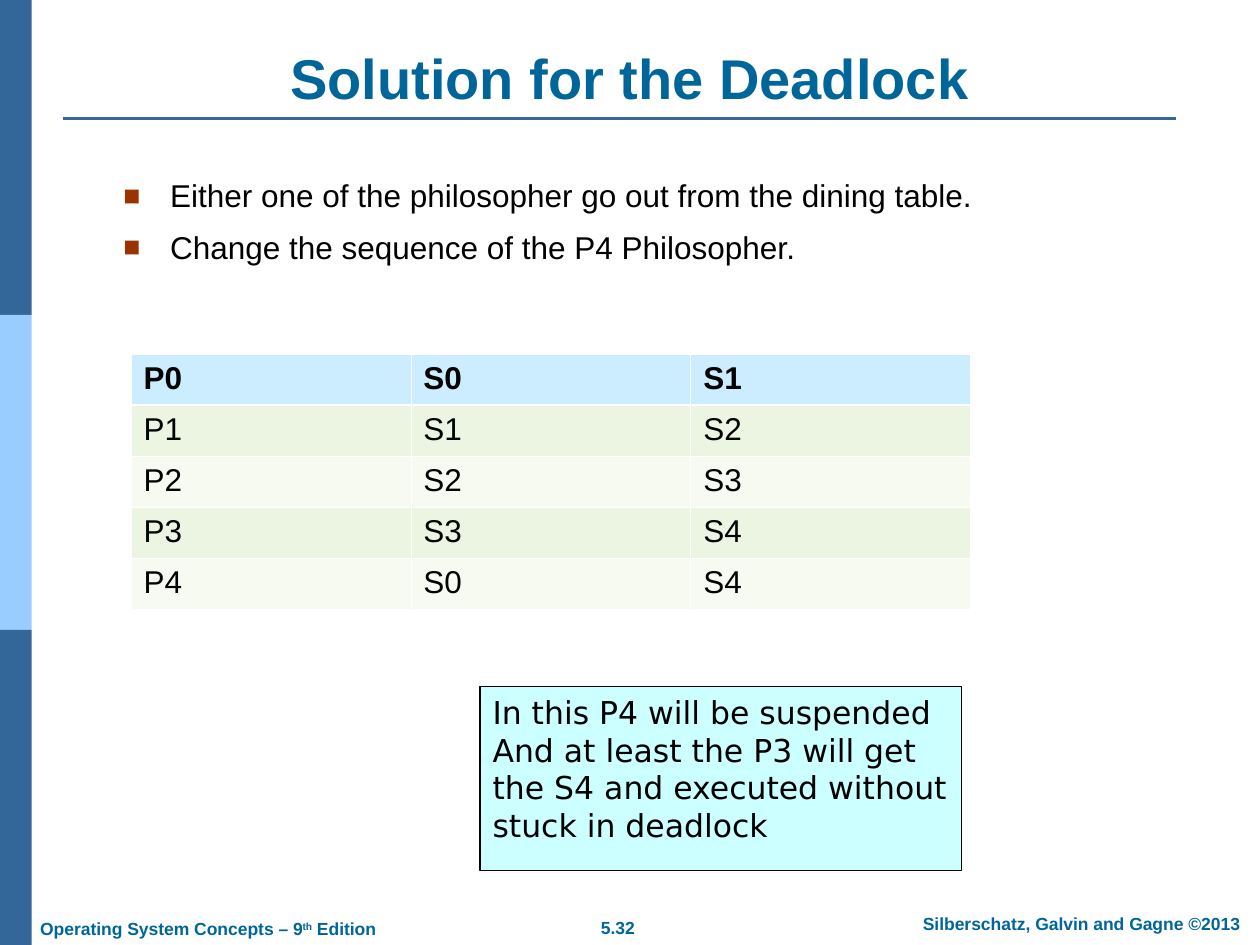
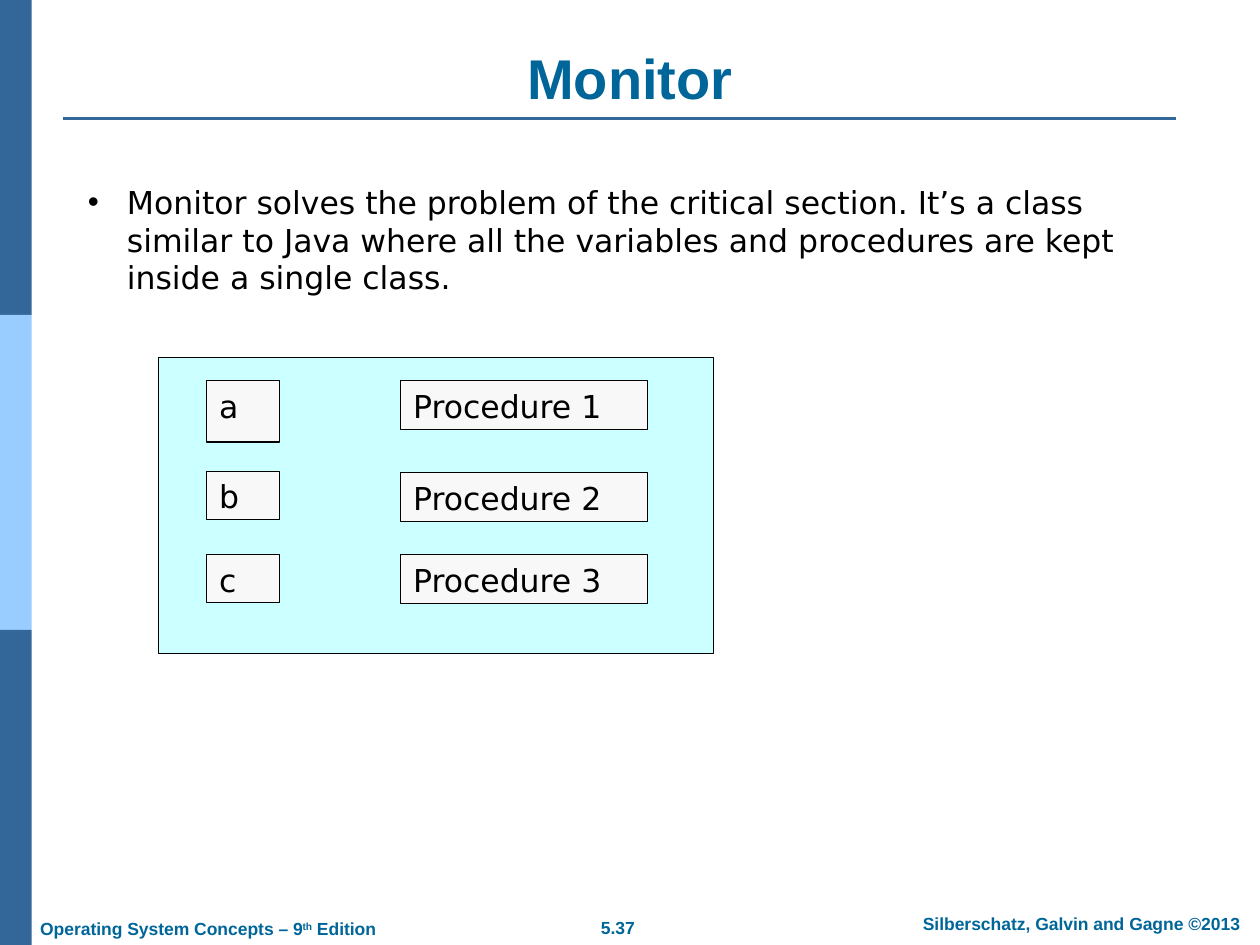
from dataclasses import dataclass
from typing import Optional, Sequence

from lxml.etree import SubElement
from pptx import Presentation
from pptx.dml.color import RGBColor
from pptx.enum.shapes import MSO_CONNECTOR as Connector, MSO_SHAPE as Preset
from pptx.enum.text import MSO_ANCHOR as Anchor, MSO_AUTO_SIZE as AutoSize, PP_ALIGN as Align
from pptx.oxml import parse_xml
from pptx.oxml.ns import nsdecls, qn
from pptx.util import Cm, Pt

DARK_BLUE, LIGHT_BLUE, TITLE_BLUE = "336699", "99CCFF", "006699"
BLACK, WHITE, CYAN, PALE_GRAY, RUST = "000000", "FFFFFF", "CCFFFF", "F8F8F8", "993300"
HEADER_FILL, ROW_FILLS = "CCECFF", ("ECF4E2", "F6FAF1")
SANS, WIDE_SANS = "Arial", "DejaVu Sans"


@dataclass(frozen=True)
class Area:
    left: float
    top: float
    width: float
    height: float

    def lengths(self) -> tuple:
        return Cm(self.left), Cm(self.top), Cm(self.width), Cm(self.height)


@dataclass(frozen=True)
class TextStyle:
    font: str
    size: float = 18
    color: str = BLACK
    bold: bool = False
    align: Align = Align.LEFT
    space_before: float = 0


@dataclass(frozen=True)
class Bullet:
    symbol: str
    color: str
    indent: float
    percent: int = 100


@dataclass(frozen=True)
class Block:
    area: Area
    fill: str
    line: Optional[str] = None
    lines: Sequence[str] = ()


TITLE = TextStyle(SANS, 32, TITLE_BLUE, True, Align.CENTER)
FOOTER = TextStyle(SANS, 10, TITLE_BLUE, True, space_before=6.2)
FOOTER_CENTERED = TextStyle(SANS, 10, TITLE_BLUE, True, Align.CENTER, 6.2)
BULLETED = TextStyle(SANS, space_before=7.9)
CELL, HEADER_CELL = TextStyle(SANS), TextStyle(SANS, bold=True)
PLAIN = TextStyle(WIDE_SANS)
SQUARE = Bullet("■", RUST, 0.94, 90)
DOT = Bullet("•", BLACK, 0.79)

BANDS = [
    Block(Area(0, 6.35 * index, 0.64, 6.35), fill)
    for index, fill in enumerate((DARK_BLUE, LIGHT_BLUE, DARK_BLUE))
]


def rgb(color: str) -> RGBColor:
    return RGBColor.from_string(color)


def style_paragraph(para, style: TextStyle) -> None:
    para.alignment = style.align
    para.space_before = Pt(style.space_before)
    font = para.font
    font.name, font.size, font.bold = style.font, Pt(style.size), style.bold
    font.color.rgb = rgb(style.color)


def add_bullet(para, bullet: Bullet) -> None:
    properties = para._p.get_or_add_pPr()
    properties.set("marL", str(Cm(bullet.indent)))
    properties.set("indent", str(-Cm(bullet.indent)))
    color = SubElement(properties, qn("a:buClr"))
    SubElement(color, qn("a:srgbClr"), val=bullet.color)
    SubElement(properties, qn("a:buSzPct"), val=str(bullet.percent * 1000))
    SubElement(properties, qn("a:buFont"), typeface=SANS)
    SubElement(properties, qn("a:buChar"), char=bullet.symbol)


def write_lines(frame, lines: Sequence[str], style: TextStyle,
                bullet: Optional[Bullet] = None) -> None:
    for index, line in enumerate(lines):
        para = frame.add_paragraph() if index else frame.paragraphs[0]
        para.text = line
        if bullet:
            add_bullet(para, bullet)
        style_paragraph(para, style)


def add_text(page, area: Area, lines: Sequence[str], style: TextStyle,
             bullet: Optional[Bullet] = None, wrap: bool = True):
    box = page.shapes.add_textbox(*area.lengths())
    box.text_frame.word_wrap = wrap
    write_lines(box.text_frame, lines, style, bullet)
    return box


def add_block(page, block: Block) -> None:
    box = page.shapes.add_shape(Preset.RECTANGLE, *block.area.lengths())
    box.shadow.inherit = False
    box.fill.solid()
    box.fill.fore_color.rgb = rgb(block.fill)
    if block.line:
        box.line.color.rgb = rgb(block.line)
        box.line.width = Pt(0.75)
    else:
        box.line.fill.background()
    if block.lines:
        box.text_frame.word_wrap = False
        box.text_frame.vertical_anchor = Anchor.TOP
        write_lines(box.text_frame, block.lines, PLAIN)


def add_title_rule(page) -> None:
    rule = page.shapes.add_connector(Connector.STRAIGHT, Cm(1.27), Cm(2.39), Cm(23.7), Cm(2.39))
    rule.line.color.rgb = rgb(DARK_BLUE)
    rule.line.width = Pt(1.5)
    SubElement(rule._element.spPr, qn("a:effectLst"))


def add_footers(page, number: str) -> None:
    add_text(page, Area(11.2, 18.36, 2.51, 0.69), [number], FOOTER_CENTERED, wrap=False)
    add_text(page, Area(18.03, 18.29, 7.54, 0.69),
             ["Silberschatz, Galvin and Gagne ©2013"], FOOTER_CENTERED)
    edition = add_text(page, Area(0.56, 18.39, 7.29, 0.69),
                       ["Operating System Concepts – 9"], FOOTER, wrap=False)
    para = edition.text_frame.paragraphs[0]
    ordinal = para.add_run()
    ordinal.text = "th"
    ordinal._r.get_or_add_rPr().set("baseline", "30000")
    para.add_run().text = " Edition"


def add_page(deck, title: str, number: str):
    page = deck.slides.add_slide(deck.slide_layouts[5])
    for band in BANDS:
        add_block(page, band)
    add_title_rule(page)
    add_footers(page, number)
    heading = page.shapes.title
    heading.left, heading.top, heading.width, heading.height = Area(1.27, 0.76, 22.86, 1.6).lengths()
    frame = heading.text_frame
    frame.auto_size = AutoSize.NONE
    frame.vertical_anchor = Anchor.BOTTOM
    write_lines(frame, [title], TITLE)
    return page


def set_cell_borders(cell, top: float, bottom: float) -> None:
    properties = cell._tc.get_or_add_tcPr()
    widths = {"lnL": 0.45, "lnR": 0.45, "lnT": top, "lnB": bottom}
    for index, (side, width) in enumerate(widths.items()):
        properties.insert(index, parse_xml(
            f'<a:{side} {nsdecls("a")} w="{Pt(width)}"><a:solidFill>'
            f'<a:srgbClr val="{WHITE}"/></a:solidFill></a:{side}>'))


def add_stick_table(page, rows: Sequence[Sequence[str]]) -> None:
    area = Area(2.64, 7.14, 16.93, 5.15)
    table = page.shapes.add_table(len(rows), len(rows[0]), *area.lengths()).table
    table.first_row = table.horz_banding = False
    for row_index, values in enumerate(rows):
        is_header = row_index == 0
        for column_index, value in enumerate(values):
            cell = table.cell(row_index, column_index)
            cell.fill.solid()
            cell.fill.fore_color.rgb = rgb(
                HEADER_FILL if is_header else ROW_FILLS[(row_index - 1) % 2])
            set_cell_borders(cell, 1.47 if row_index == 1 else 0.45, 1.47 if is_header else 0.45)
            write_lines(cell.text_frame, [value], HEADER_CELL if is_header else CELL)


def build_deadlock_page(deck) -> None:
    page = add_page(deck, "Solution for the Deadlock", "5.32")
    add_text(page, Area(2.24, 3.43, 22.86, 12.6), [
        "Either one of the philosopher go out from the dining table.",
        "Change the sequence of the P4 Philosopher.",
    ], BULLETED, SQUARE)
    add_stick_table(page, [
        ("P0", "S0", "S1"),
        ("P1", "S1", "S2"),
        ("P2", "S2", "S3"),
        ("P3", "S3", "S4"),
        ("P4", "S0", "S4"),
    ])
    add_block(page, Block(Area(9.68, 13.84, 9.7, 3.71), CYAN, BLACK, [
        "In this P4 will be suspended",
        "And at least the P3 will get",
        "the S4 and executed without",
        "stuck in deadlock",
    ]))


def build_monitor_page(deck) -> None:
    page = add_page(deck, "Monitor", "5.37")
    add_text(page, Area(1.52, 3.56, 22.05, 2.54), [
        "Monitor solves the problem of the critical section. It’s a class similar to Java "
        "where all the variables and procedures are kept inside a single class.",
    ], PLAIN, DOT)
    add_block(page, Block(Area(3.2, 7.21, 11.18, 5.97), CYAN, BLACK))
    variables = [("a", 7.67, 1.24), ("b", 9.5, 0.97), ("c", 11.18, 0.97)]
    for name, top, height in variables:
        add_block(page, Block(Area(4.17, top, 1.47, height), PALE_GRAY, BLACK, [name]))
    for number, top in enumerate((7.67, 9.53, 11.18), start=1):
        add_block(page, Block(Area(8.08, top, 4.98, 0.99), PALE_GRAY, BLACK,
                              [f"Procedure {number}"]))


def main() -> None:
    deck = Presentation()
    deck.slide_width, deck.slide_height = Cm(25.4), Cm(19.05)
    build_deadlock_page(deck)
    build_monitor_page(deck)
    deck.save("out.pptx")


if __name__ == "__main__":
    main()
